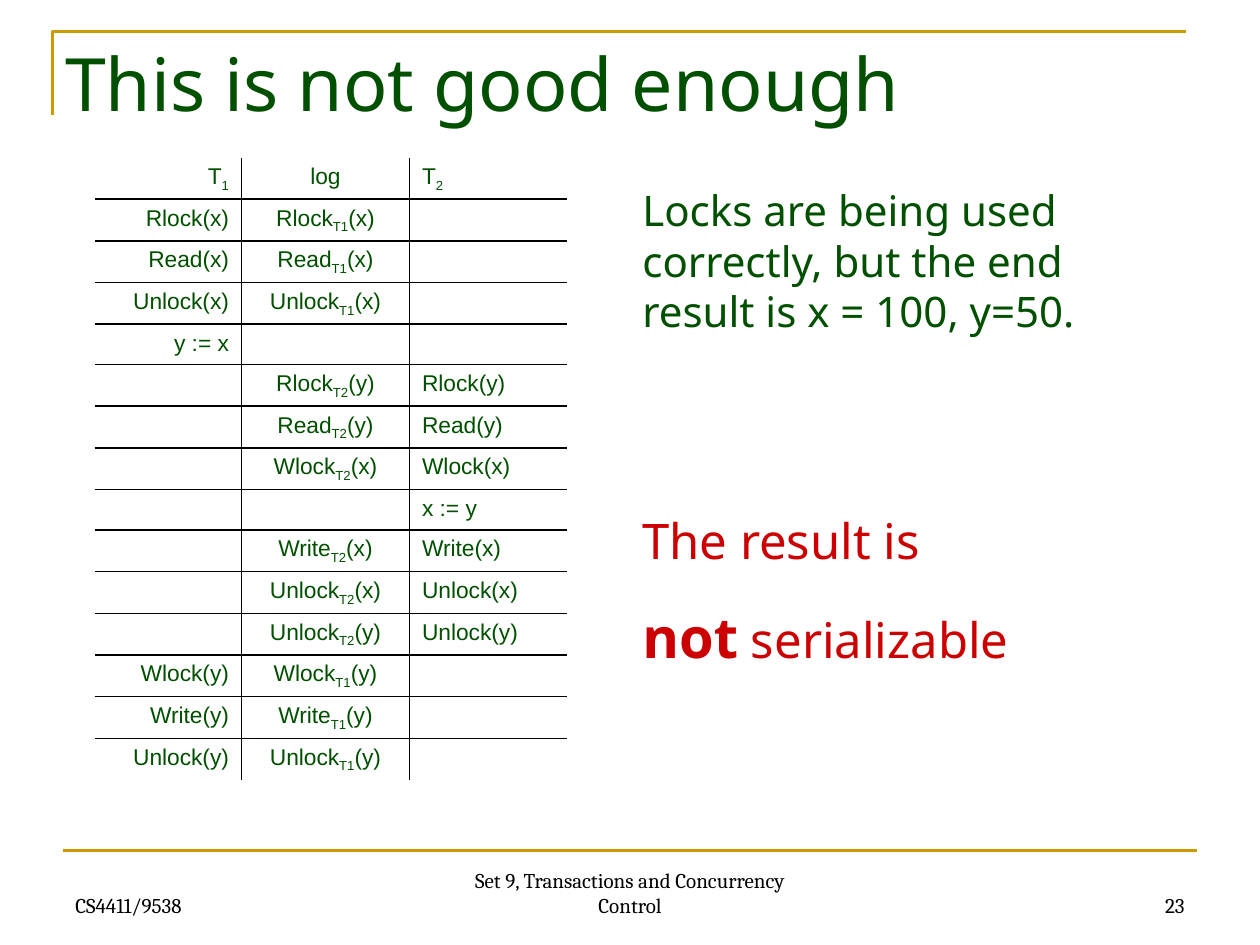
from lxml import etree
from pptx import Presentation
from pptx import util as u
from pptx.dml.color import RGBColor
from pptx.enum import shapes, text
from pptx.oxml import ns

UNIT = u.Inches(1) / 12
COLORS = {"green": "005000", "red": "CC0000", "gold": "CC9900", "black": "000000"}
LEFT, CENTER, RIGHT = text.PP_ALIGN.LEFT, text.PP_ALIGN.CENTER, text.PP_ALIGN.RIGHT
PLAIN_TABLE = "{2D5ABB26-0587-4C30-8999-92F81FD0307C}"
STEPS = [
    (1, "Rlock(x)"), (1, "Read(x)"), (1, "Unlock(x)"), (1, "y := x"),
    (2, "Rlock(y)"), (2, "Read(y)"), (2, "Wlock(x)"), (2, "x := y"),
    (2, "Write(x)"), (2, "Unlock(x)"), (2, "Unlock(y)"),
    (1, "Wlock(y)"), (1, "Write(y)"), (1, "Unlock(y)"),
]


def grid(*cells):
    return [u.Emu(round(cell * UNIT)) for cell in cells]


def log_entry(transaction, action):
    name, bracket, argument = action.partition("(")
    if not bracket:
        return []
    return [name, f"_T{transaction}", bracket + argument]


def schedule_rows():
    rows = [[["T", "_1"], ["log"], ["T", "_2"]]]
    for transaction, action in STEPS:
        first, second = ([action], []) if transaction == 1 else ([], [action])
        rows.append([first, log_entry(transaction, action), second])
    return rows


class SlideBuilder:
    def __init__(self, presentation):
        self.slide = presentation.slides.add_slide(presentation.slide_layouts[5])

    def format_run(self, run, size, font, color, bold=False):
        run.font.size = u.Pt(size)
        run.font.name = font
        run.font.bold = bold
        run.font.color.rgb = RGBColor.from_string(COLORS[color])

    def style_line(self, line):
        line.color.rgb = RGBColor.from_string(COLORS["gold"])
        line.width = u.Pt(1.5)

    def title(self, wording, box):
        shape = self.slide.shapes.title
        shape.left, shape.top, shape.width, shape.height = grid(*box)
        frame = shape.text_frame
        frame.text = wording
        frame.auto_size = text.MSO_AUTO_SIZE.NONE
        frame.vertical_anchor = text.MSO_ANCHOR.TOP
        frame.paragraphs[0].alignment = LEFT
        self.format_run(frame.paragraphs[0].runs[0], 42, "Noto Sans", "green")

    def corner(self, points):
        start, *rest = [grid(*point) for point in points]
        builder = self.slide.shapes.build_freeform(*start)
        builder.add_line_segments(rest, close=False)
        shape = builder.convert_to_shape()
        shape.shadow.inherit = False
        shape.fill.background()
        self.style_line(shape.line)

    def rule(self, start, end):
        connector = self.slide.shapes.add_connector(
            shapes.MSO_CONNECTOR.STRAIGHT, *grid(*start, *end))
        self.style_line(connector.line)
        etree.SubElement(connector._element.spPr, ns.qn("a:effectLst"))

    def text_box(self, box, paragraphs, font, color, align=LEFT,
                 anchor=text.MSO_ANCHOR.TOP, gap=0):
        frame = self.slide.shapes.add_textbox(*grid(*box)).text_frame
        frame.word_wrap = True
        frame.vertical_anchor = anchor
        for index, parts in enumerate(paragraphs):
            paragraph = frame.add_paragraph() if index else frame.paragraphs[0]
            paragraph.alignment = align
            if index:
                paragraph.space_before = u.Pt(gap)
            for wording, size, bold in parts:
                run = paragraph.add_run()
                run.text = wording
                self.format_run(run, size, font, color, bold)

    def footer(self, wording, left, width, align):
        self.text_box((left, 82, width, 6), [[(wording, 12, False)]], "Cambria",
                      "black", align, text.MSO_ANCHOR.BOTTOM)

    def border(self, cell, sides):
        properties = cell._tc.get_or_add_tcPr()
        for side in sides:
            line = etree.SubElement(properties, ns.qn(f"a:ln{side}"), w=str(u.Pt(1)))
            fill = etree.SubElement(line, ns.qn("a:solidFill"))
            etree.SubElement(fill, ns.qn("a:srgbClr"), val=COLORS["black"])

    def fill_cell(self, cell, parts, align):
        paragraph = cell.text_frame.paragraphs[0]
        paragraph.alignment = align
        for part in parts:
            run = paragraph.add_run()
            run.text = part.removeprefix("_")
            self.format_run(run, 13, "Arial", "green")
            if part.startswith("_"):
                run.font._element.set("baseline", "-25000")
        if not parts:
            etree.SubElement(paragraph._p, ns.qn("a:endParaRPr"), sz="1300")

    def table(self, left, top, widths, row_height, rows, alignments):
        table = self.slide.shapes.add_table(
            len(rows), len(widths),
            *grid(left, top, sum(widths), row_height * len(rows))).table
        table.first_row = table.horz_banding = False
        table._tbl.tblPr.find(ns.qn("a:tableStyleId")).text = PLAIN_TABLE
        for column, width in zip(table.columns, grid(*widths)):
            column.width = width
        for row_index, row in enumerate(rows):
            table.rows[row_index].height = grid(row_height)[0]
            for column_index, parts in enumerate(row):
                cell = table.cell(row_index, column_index)
                inner = {"L": column_index > 0, "R": column_index < len(widths) - 1,
                         "T": row_index > 0, "B": row_index < len(rows) - 1}
                self.border(cell, [side for side, shown in inner.items() if shown])
                cell.fill.background()
                self.fill_cell(cell, parts, alignments[column_index])


def main():
    presentation = Presentation()
    presentation.slide_width, presentation.slide_height = grid(120, 90)
    builder = SlideBuilder(presentation)
    builder.corner([(5, 11), (5, 3), (113, 3)])
    builder.rule((6, 81), (114, 81))
    builder.title("This is not good enough", (5, 3, 108, 8))
    builder.table(9, 15, (14, 16, 15), 3.82, schedule_rows(), (RIGHT, CENTER, LEFT))
    builder.text_box(
        (60, 17, 53, 15.6),
        [[("Locks are being used correctly, but the end result is x = 100, y=50.",
           24, False)]],
        "Noto Sans", "green")
    builder.text_box(
        (60, 48, 41, 16.4),
        [[("The result is", 28, False)],
         [("not", 32, True), (" serializable", 28, False)]],
        "Noto Sans", "red", gap=19)
    builder.footer("CS4411/9538", 6, 28, LEFT)
    builder.footer("Set 9, Transactions and Concurrency Control", 41, 38, CENTER)
    builder.footer("23", 86, 28, RIGHT)
    presentation.save("out.pptx")


if __name__ == "__main__":
    main()
